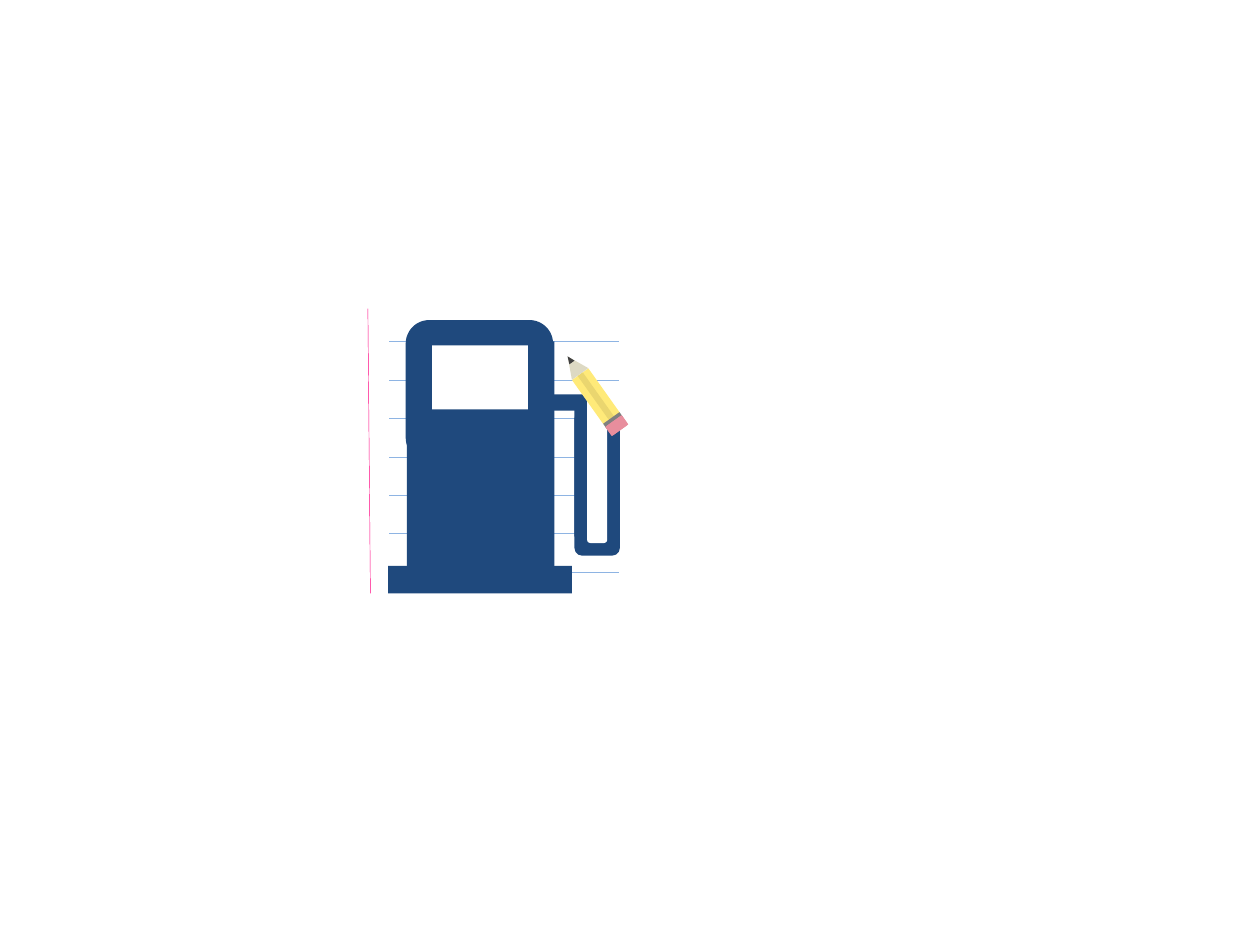
import math
from dataclasses import dataclass
from lxml import etree
from pptx import Presentation
from pptx import util as u
from pptx.dml.color import RGBColor
from pptx.enum import shapes as s
from pptx.oxml.ns import qn

COLS, ROWS = 1000, 750  # fine grid over the slide
KIND = s.MSO_SHAPE
RECT, ROUND, TRI = KIND.RECTANGLE, KIND.ROUNDED_RECTANGLE, KIND.ISOSCELES_TRIANGLE


@dataclass(frozen=True)
class Theme:
    pump: str = "1F497D"
    white: str = "FFFFFF"
    rule: str = "8EB4E3"
    margin: str = "FF0080"
    core: str = "FF6666"
    wood: str = "FFEA79"
    stripe: str = "EAD66F"
    band: str = "808080"
    rubber: str = "E88E9D"
    cone: str = "DDD9C3"
    lead: str = "404040"
    hair: float = 0.25


T = Theme()
deck = Presentation()
for name, size in {"slide_width": 10, "slide_height": 7.5}.items():
    setattr(deck, name, u.Inches(size))


def col(n):
    return round(deck.slide_width * n / COLS)


def row(n):
    return round(deck.slide_height * n / ROWS)


def part(host, kind, box, fill, turn=0):
    """Place one filled shape without outline."""
    x, y, w, h = box
    shape = host.add_shape(kind, col(x), row(y), col(w), row(h))
    shape.rotation = turn
    shape.shadow.inherit = False
    shape.fill.solid()
    shape.fill.fore_color.rgb = RGBColor.from_string(fill)
    shape.line.fill.background()


def hair(host, start, end, color):
    """Draw one thin straight line."""
    (x, y), (p, q) = start, end
    line = host.add_connector(s.MSO_CONNECTOR.STRAIGHT, col(x), row(y), col(p), row(q))
    line.line.color.rgb = RGBColor.from_string(color)
    line.line.width = u.Pt(T.hair)
    etree.SubElement(line._element.spPr, qn("a:effectLst"))


def paper(host, box):
    """Ruled lines at equal gaps, and a slanted margin line."""
    x, y, w, h = box
    count, left, top, gap = 7, 17, 26, 30.5
    for i in range(count):
        level = y + top + i * gap
        hair(host, (x + w, level), (x + left, level), T.rule)
    hair(host, (x, y), (x + 2, y + h), T.margin)


def pump(host, box):
    """Fuel pump: body, window, hose and base."""
    x, y, w, h = box
    base = 22
    parts = [
        (RECT, (15, 17, 117, 193), T.pump),          # body
        (ROUND, (14, 0, 117, 112), T.pump),          # rounded top
        (RECT, (35, 20, 76, 51), T.white),           # window
        (ROUND, (148, 61, 10, 112), T.pump),         # hose, inner side
        (ROUND, (120, 59, 37, 13), T.pump),          # hose, arm
        (ROUND, (w - 36, 72, 36, 115), T.pump),      # hose, loop
        (ROUND, (158, 59, 16, 118), T.white),        # gap in the loop
        (RECT, (0, h - base, 146, base), T.pump),    # base
    ]
    for kind, (dx, dy, wide, high), fill in parts:
        part(host, kind, (x + dx, y + dy, wide, high), fill)


def pencil(host, box):
    """Pencil parts strung along one tilted axis through the box centre."""
    x, y, w, h = box
    mid, level = x + w / 2, y + h / 2
    turn = 324.6
    tilt = math.radians(turn)
    group = host.add_group_shape().shapes
    # kind, distance along the axis, width, height, fill
    parts = [
        (RECT, 4.6, 14, 38, T.core),
        (RECT, 0, 16, 43, T.wood),
        (RECT, 0, 5, 43, T.stripe),
        (RECT, 23.6, 16, 5, T.band),
        (ROUND, 28.6, 16, 9, T.rubber),
        (TRI, -30.2, 16, 17, T.cone),
        (TRI, -35.9, 5, 6, T.lead),
        (RECT, 28.6, 16, 9, T.rubber),
    ]
    for kind, dist, wide, high, fill in parts:
        left = mid - dist * math.sin(tilt) - wide / 2
        top = level + dist * math.cos(tilt) - high / 2
        part(group, kind, (left, top, wide, high), fill, turn)


def main():
    slide = deck.slides.add_slide(deck.slide_layouts[6])
    host = slide.shapes
    paper(host, (292, 245, 199, 226))
    pump(host, (308, 254, 184, 217))
    pencil(host, (450, 283, 46, 63))
    deck.save("out.pptx")


if __name__ == "__main__":
    main()
